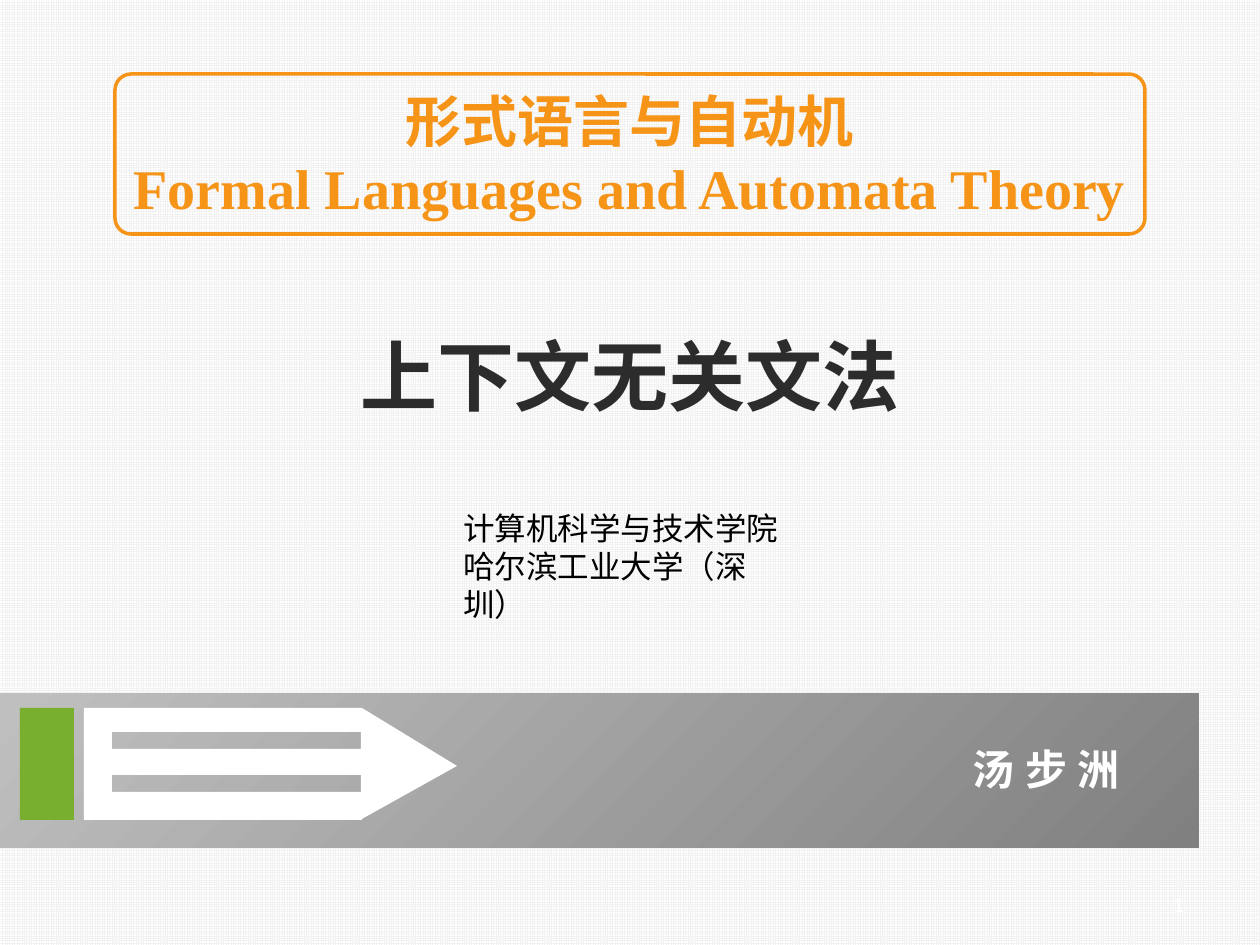
from dataclasses import dataclass

from lxml.etree import SubElement
from pptx import Presentation
from pptx.dml.color import RGBColor
from pptx.enum.dml import MSO_PATTERN
from pptx.enum.shapes import MSO_SHAPE as Shape
from pptx.enum.text import MSO_ANCHOR as Anchor, MSO_AUTO_SIZE as AutoSize, PP_ALIGN as Align
from pptx.oxml.ns import qn
from pptx.util import Pt

EMU_PER_PX = 914400 / 126


def px(length):
    return round(length * EMU_PER_PX)


@dataclass(frozen=True)
class Theme:
    orange: str = "F69418"
    green: str = "78AF2F"
    ink: str = "2C2C2C"
    black: str = "000000"
    white: str = "FFFFFF"
    grid: str = "F2F2F2"
    band_dark: str = "808080"
    band_light: str = "BFBFBF"
    cjk: str = "Noto Sans CJK SC"
    serif: str = "Times New Roman"
    sans: str = "Calibri"
    title_size: int = 44
    course_size: int = 32
    author_size: int = 24
    school_size: int = 18
    number_size: int = 12


class Deck:
    def __init__(self, theme, width, height):
        self.theme = theme
        self.presentation = Presentation()
        self.presentation.slide_width = px(width)
        self.presentation.slide_height = px(height)
        self.slide = self.presentation.slides.add_slide(self.presentation.slide_layouts[5])

    def background(self):
        fill = self.slide.background.fill
        fill.patterned()
        fill.pattern = MSO_PATTERN.SMALL_GRID
        fill.fore_color.rgb = RGBColor.from_string(self.theme.grid)
        fill.back_color.rgb = RGBColor.from_string(self.theme.white)

    def set_lines(self, frame, lines, size, color, font, bold=False, align=Align.LEFT,
                  leading=None, tracking=None):
        frame.word_wrap = True
        for index, line in enumerate(lines):
            paragraph = frame.paragraphs[0] if index == 0 else frame.add_paragraph()
            run = paragraph.add_run()
            run.text = line
            paragraph.alignment = align
            if leading:
                paragraph.line_spacing = Pt(size * leading)
            paragraph.font.size = Pt(size)
            paragraph.font.bold = bold
            paragraph.font.name = font
            paragraph.font.color.rgb = RGBColor.from_string(color)
            defaults = paragraph._p.pPr.find(qn("a:defRPr"))
            SubElement(defaults, qn("a:ea")).set("typeface", self.theme.cjk)
            if tracking:
                run._r.get_or_add_rPr().set("spc", str(tracking * 100))

    def title(self, text, left, top, width, height):
        title = self.slide.shapes.title
        title.left, title.top, title.width, title.height = map(px, (left, top, width, height))
        frame = title.text_frame
        frame.auto_size = AutoSize.NONE
        frame.vertical_anchor = Anchor.MIDDLE
        self.set_lines(frame, [text], self.theme.title_size, self.theme.ink,
                       self.theme.sans, bold=True, align=Align.CENTER)

    def text(self, lines, left, top, width, height, **style):
        box = self.slide.shapes.add_textbox(*map(px, (left, top, width, height)))
        self.set_lines(box.text_frame, lines, **style)

    def paint(self, shape, fill=None):
        shape.shadow.inherit = False
        shape.line.fill.background()
        if fill:
            shape.fill.solid()
            shape.fill.fore_color.rgb = RGBColor.from_string(fill)
        else:
            shape.fill.background()
        return shape

    def shape(self, kind, left, top, width, height, fill=None):
        shape = self.slide.shapes.add_shape(kind, *map(px, (left, top, width, height)))
        return self.paint(shape, fill)

    def frame(self, lines, left, top, width, height, color, **style):
        frame = self.shape(Shape.ROUNDED_RECTANGLE, left, top, width, height)
        frame.adjustments[0] = 0.1
        frame.line.color.rgb = RGBColor.from_string(color)
        frame.line.width = Pt(2)
        body = frame.text_frame
        body.margin_left = body.margin_right = 0
        body.vertical_anchor = Anchor.MIDDLE
        self.set_lines(body, lines, color=color, **style)

    def radial_band(self, left, top, width, height):
        band = self.shape(Shape.RECTANGLE, left, top, width, height)
        band.fill.gradient()
        gradient = band._element.spPr.find(qn("a:gradFill"))
        for child in list(gradient):
            gradient.remove(child)
        stops = SubElement(gradient, qn("a:gsLst"))
        for position, color in ((0, self.theme.band_dark), (99, self.theme.band_light)):
            stop = SubElement(stops, qn("a:gs"), pos=str(position * 1000))
            SubElement(stop, qn("a:srgbClr"), val=color)
        circle = SubElement(gradient, qn("a:path"))
        circle.set("path", "circle")
        SubElement(circle, qn("a:fillToRect"), l="100000", t="100000")

    def outline(self, contours, fill):
        builder = None
        for start, *rest in contours:
            if builder is None:
                builder = self.slide.shapes.build_freeform(*start, scale=EMU_PER_PX)
            else:
                builder.move_to(*start)
            builder.add_line_segments(rest, close=True)
        self.paint(builder.convert_to_shape(), fill)


def main():
    theme = Theme()
    deck = Deck(theme, 1260, 945)
    deck.background()
    deck.title("上下文无关文法", 95, 273, 1071, 203)

    deck.radial_band(0, 693, 1199, 155)
    deck.shape(Shape.RECTANGLE, 20, 708, 54, 112, theme.green)
    pencil = [(84, 820), (84, 708), (362, 708), (457, 766), (362, 819), (362, 820)]
    slots = [[(112, top + 17), (361, top + 17), (361, top), (112, top)] for top in (732, 775)]
    deck.outline([*slots, pencil], theme.white)

    deck.text(["计算机科学与技术学院", "哈尔滨工业大学（深圳）"], 451, 503, 350, 89,
              size=theme.school_size, color=theme.black, font=theme.cjk, leading=1.2)
    deck.frame(["形式语言与自动机", "Formal Languages and Automata Theory"],
               115, 74, 1030, 160, theme.orange, size=theme.course_size,
               font=theme.serif, bold=True, align=Align.CENTER)
    deck.text(["汤步洲 "], 916, 737, 281, 63, size=theme.author_size, color=theme.white,
              font=theme.cjk, bold=True, align=Align.CENTER, leading=1.2, tracking=6)
    deck.text(["1"], 1096, 885, 100, 36, size=theme.number_size, color=theme.white,
              font=theme.sans, align=Align.RIGHT)

    deck.presentation.save("out.pptx")


if __name__ == "__main__":
    main()
